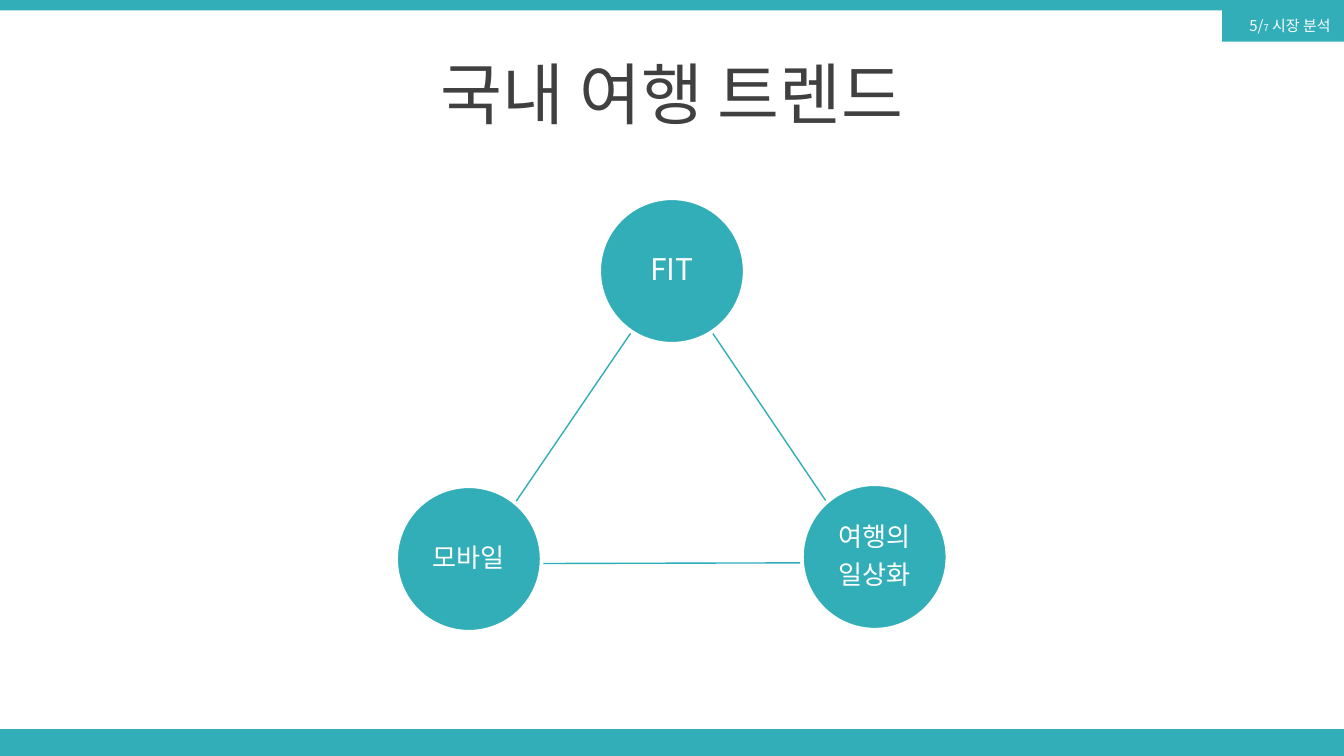
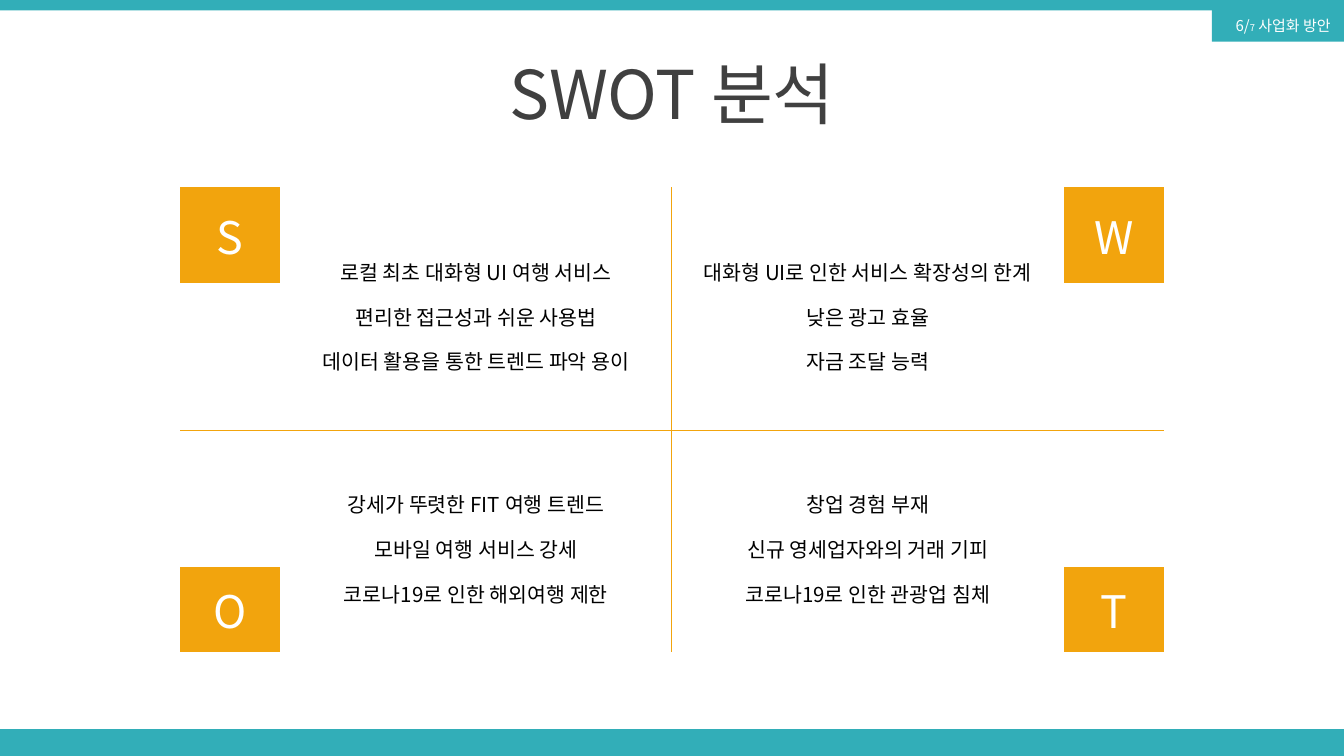
from dataclasses import dataclass

import pptx
import pptx.dml.color
import pptx.enum.shapes
import pptx.enum.text
import pptx.oxml.ns
import pptx.presentation
import pptx.shapes.autoshape
import pptx.slide
import pptx.table
import pptx.text.text
import pptx.util
from lxml import etree

Pt = pptx.util.Pt
RGBColor = pptx.dml.color.RGBColor
SHAPE = pptx.enum.shapes.MSO_SHAPE
ALIGN = pptx.enum.text.PP_ALIGN
ANCHOR = pptx.enum.text.MSO_ANCHOR
qn = pptx.oxml.ns.qn

# Shared look
TEAL = RGBColor(0x32, 0xAE, 0xB8)
LINE_TEAL = RGBColor(0x2E, 0xAD, 0xB7)
ORANGE = RGBColor(0xF2, 0xA4, 0x0D)
DARK = RGBColor(0x40, 0x40, 0x40)
BLACK = RGBColor(0, 0, 0)
WHITE = RGBColor(0xFF, 0xFF, 0xFF)
FONT = "Noto Sans CJK KR"
SLIDE_W, SLIDE_H = 720, 405
TOP_BAND_H, BOTTOM_BAND_H = 5.6, 14.4
NO_GRID_STYLE = "{2D5ABB26-0587-4C30-8999-92F81FD0307C}"


@dataclass(frozen=True)
class Header:
    title: str
    page: str
    section: str
    tag_width: float


@dataclass(frozen=True)
class Trend:
    lines: tuple[str, ...]
    left: float
    top: float
    size: float


@dataclass(frozen=True)
class Link:
    x1: float
    y1: float
    x2: float
    y2: float


@dataclass(frozen=True)
class Quadrant:
    letter: str
    letter_row: int
    letter_col: int
    text_row: int
    text_col: int
    points: tuple[str, ...]


# Slide contents
TREND_HEADER = Header("국내 여행 트렌드", "5/", " 시장 분석", 65.3)
SWOT_HEADER = Header("SWOT 분석", "6/", " 사업화 방안", 70.8)

CIRCLE = 78
TRENDS = (
    Trend(("FIT",), 321, 106.2, 16),
    Trend(("모바일",), 212.2, 260.5, 14),
    Trend(("여행의", "일상화"), 429.6, 259.4, 14),
)
LINKS = (
    Link(360, 146, 252, 304.5),
    Link(359.5, 145.5, 466.5, 304),
    Link(254, 302, 446.5, 301.5),
)

COL_WIDTHS = (53.6, 209.9, 209.9, 53.6)
ROW_HEIGHTS = (51.3, 78.8, 73.4, 45.5)
SWOT_TOP = 100.3
QUADRANTS = (
    Quadrant("S", 0, 0, 0, 1, (
        "로컬 최초 대화형 UI 여행 서비스",
        "편리한 접근성과 쉬운 사용법",
        "데이터 활용을 통한 트렌드 파악 용이")),
    Quadrant("W", 0, 3, 0, 2, (
        "대화형 UI로 인한 서비스 확장성의 한계",
        "낮은 광고 효율",
        "자금 조달 능력")),
    Quadrant("O", 3, 0, 2, 1, (
        "강세가 뚜렷한 FIT 여행 트렌드",
        "모바일 여행 서비스 강세",
        "코로나19로 인한 해외여행 제한")),
    Quadrant("T", 3, 3, 2, 2, (
        "창업 경험 부재",
        "신규 영세업자와의 거래 기피",
        "코로나19로 인한 관광업 침체")),
)


def add_run(p: pptx.text.text._Paragraph, text: str, size: float,
            color: RGBColor) -> None:
    r = p.add_run()
    r.text = text
    r.font.size = Pt(size)
    r.font.color.rgb = color
    r.font.name = FONT
    # Korean glyphs take the East Asian font
    etree.SubElement(r.font._element, qn("a:ea"), typeface=FONT)


def add_lines(tf: pptx.text.text.TextFrame, lines: tuple[str, ...], size: float,
              color: RGBColor, spacing: float = 1, after: float = 0) -> None:
    for i, line in enumerate(lines):
        p = tf.paragraphs[0] if i == 0 else tf.add_paragraph()
        p.alignment = ALIGN.CENTER
        p.line_spacing = spacing
        p.space_after = Pt(after)
        add_run(p, line, size, color)


def add_filled(s: pptx.slide.Slide, kind: SHAPE, left: float, top: float,
               width: float, height: float) -> pptx.shapes.autoshape.Shape:
    sp = s.shapes.add_shape(kind, Pt(left), Pt(top), Pt(width), Pt(height))
    sp.shadow.inherit = False
    sp.fill.solid()
    sp.fill.fore_color.rgb = TEAL
    sp.line.fill.background()
    return sp


def add_slide(prs: pptx.presentation.Presentation,
              header: Header) -> pptx.slide.Slide:
    s = prs.slides.add_slide(prs.slide_layouts[6])
    # Bands
    add_filled(s, SHAPE.RECTANGLE, 0, SLIDE_H - BOTTOM_BAND_H,
               SLIDE_W, BOTTOM_BAND_H)
    add_filled(s, SHAPE.RECTANGLE, 0, 0, SLIDE_W, TOP_BAND_H)

    # Title
    sp = s.shapes.add_textbox(0, Pt(27), Pt(SLIDE_W), Pt(45.5))
    tf = sp.text_frame
    tf.word_wrap = True
    tf.vertical_anchor = ANCHOR.MIDDLE
    add_lines(tf, (header.title,), 36, DARK)

    # Section tag
    sp = add_filled(s, SHAPE.RECTANGLE, SLIDE_W - header.tag_width, 5.3,
                    header.tag_width, 17)
    tf = sp.text_frame
    tf.word_wrap = True
    tf.auto_size = pptx.enum.text.MSO_AUTO_SIZE.SHAPE_TO_FIT_TEXT
    tf.vertical_anchor = ANCHOR.TOP
    p = tf.paragraphs[0]
    p.alignment = ALIGN.RIGHT
    for text, size in ((header.page, 8), ("7", 5), (header.section, 8)):
        add_run(p, text, size, WHITE)
    return s


def add_link(s: pptx.slide.Slide, link: Link) -> None:
    sp = s.shapes.add_connector(
        pptx.enum.shapes.MSO_CONNECTOR.STRAIGHT,
        Pt(link.x1), Pt(link.y1), Pt(link.x2), Pt(link.y2))
    sp.line.color.rgb = LINE_TEAL
    sp.line.width = Pt(0.75)
    etree.SubElement(sp._element.spPr, qn("a:effectLst"))


def add_trend(s: pptx.slide.Slide, trend: Trend) -> None:
    sp = add_filled(s, SHAPE.OVAL, trend.left, trend.top, CIRCLE, CIRCLE)
    sp.line.color.rgb = WHITE
    sp.line.width = Pt(2)
    tf = sp.text_frame
    tf.word_wrap = True
    tf.vertical_anchor = ANCHOR.MIDDLE
    tf.margin_left = tf.margin_right = Pt(6)
    tf.margin_top = tf.margin_bottom = Pt(6)
    add_lines(tf, trend.lines, trend.size, WHITE, 0.9, 0.35 * trend.size)


def add_border(cell: pptx.table._Cell, side: str, shown: bool) -> None:
    ln = etree.SubElement(cell._tc.get_or_add_tcPr(), qn(f"a:ln{side}"),
                          w=str(Pt(0.5)))
    if shown:
        fill = etree.SubElement(ln, qn("a:solidFill"))
        etree.SubElement(fill, qn("a:srgbClr"), val=str(ORANGE))
    else:
        etree.SubElement(ln, qn("a:noFill"))


def add_swot(s: pptx.slide.Slide) -> None:
    width = sum(COL_WIDTHS)
    frame = s.shapes.add_table(
        len(ROW_HEIGHTS), len(COL_WIDTHS), Pt((SLIDE_W - width) / 2),
        Pt(SWOT_TOP), Pt(width), Pt(sum(ROW_HEIGHTS)))
    table = frame.table
    table.first_row = table.horz_banding = False
    table._tbl.tblPr.find(qn("a:tableStyleId")).text = NO_GRID_STYLE
    for column, w in zip(table.columns, COL_WIDTHS):
        column.width = Pt(w)
    for row, h in zip(table.rows, ROW_HEIGHTS):
        row.height = Pt(h)

    # Cross lines between the quadrants
    for row in range(len(ROW_HEIGHTS)):
        for col in range(len(COL_WIDTHS)):
            cell = table.cell(row, col)
            inner = col in (1, 2)
            sides = {"L": col == 2, "R": col == 1, "T": row == 2,
                     "B": row == 1 or (row == 0 and inner)}
            for side, shown in sides.items():
                add_border(cell, side, shown)
            cell.fill.background()

    # Letters and their points
    for q in QUADRANTS:
        cell = table.cell(q.letter_row, q.letter_col)
        cell.fill.solid()
        cell.fill.fore_color.rgb = ORANGE
        cell.vertical_anchor = ANCHOR.MIDDLE
        add_lines(cell.text_frame, (q.letter,), 24, WHITE)

        cell = table.cell(q.text_row, q.text_col)
        cell.merge(table.cell(q.text_row + 1, q.text_col))
        cell.vertical_anchor = ANCHOR.MIDDLE
        add_lines(cell.text_frame, q.points, 11, BLACK, 1.5)


def main() -> None:
    prs = pptx.Presentation()
    prs.slide_width, prs.slide_height = Pt(SLIDE_W), Pt(SLIDE_H)

    # Travel trends
    s = add_slide(prs, TREND_HEADER)
    for link in LINKS:
        add_link(s, link)
    for trend in TRENDS:
        add_trend(s, trend)

    # SWOT analysis
    s = add_slide(prs, SWOT_HEADER)
    add_swot(s)

    prs.save("out.pptx")


if __name__ == "__main__":
    main()
